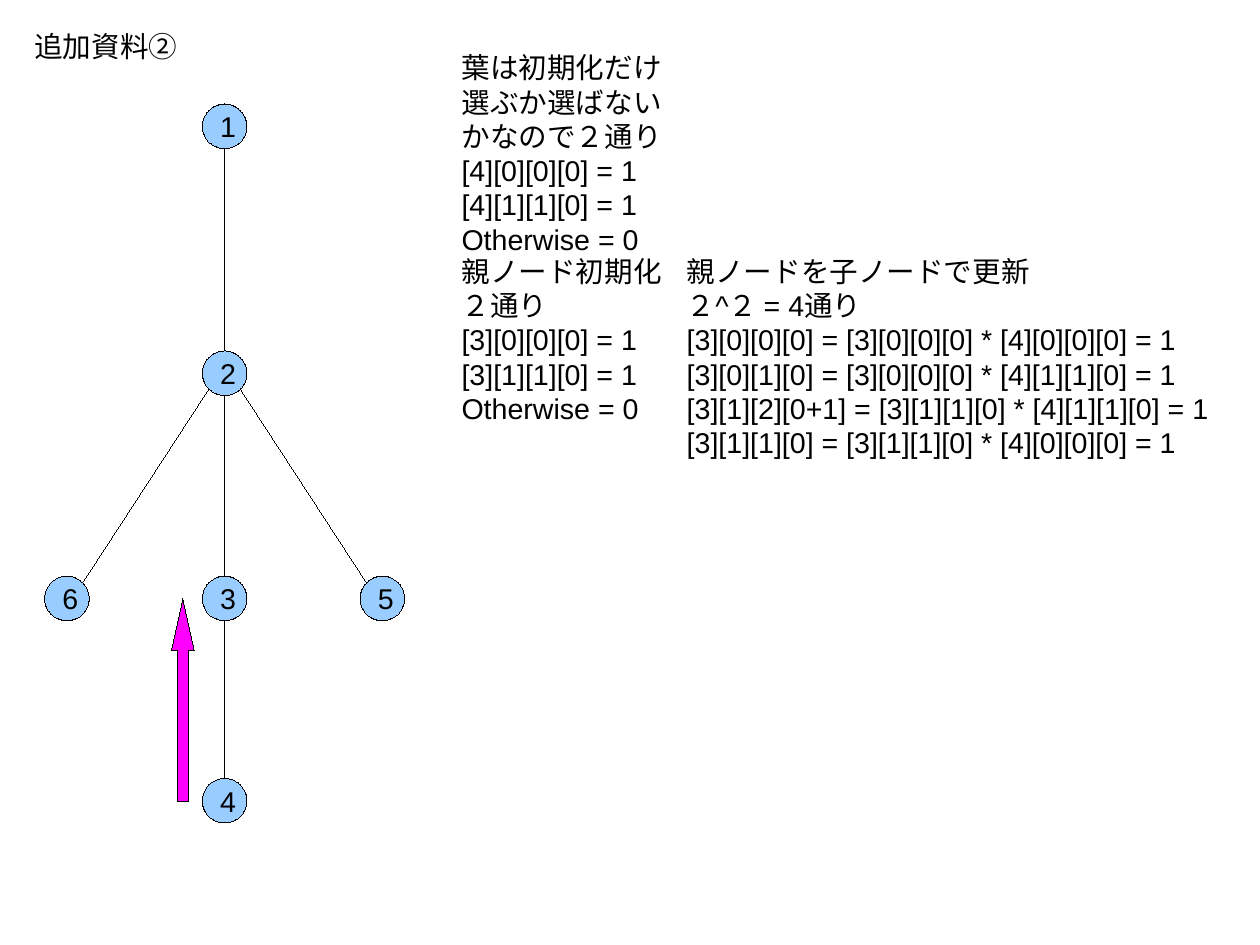
import dataclasses
import math

import lxml.etree
import pptx
import pptx.dml.color
import pptx.enum.shapes
import pptx.enum.text
import pptx.oxml.ns
import pptx.util

Inches = pptx.util.Inches
BLACK = pptx.dml.color.RGBColor(0x00, 0x00, 0x00)
LIGHT_BLUE = pptx.dml.color.RGBColor(0x99, 0xCC, 0xFF)
MAGENTA = pptx.dml.color.RGBColor(0xFF, 0x00, 0xFF)

CENTIMETRES_PER_INCH = 2.54
SLIDE_SIZE = {
    "slide_width": Inches(28 / CENTIMETRES_PER_INCH),
    "slide_height": Inches(21 / CENTIMETRES_PER_INCH),
}
HAIRLINE = pptx.util.Pt(0.01)
FONT_FORMAT = {"name": "Arial", "size": pptx.util.Pt(18), "bold": False}
TEXT_FRAME_FORMAT = {
    "word_wrap": True,
    "auto_size": pptx.enum.text.MSO_AUTO_SIZE.NONE,
    "vertical_anchor": pptx.enum.text.MSO_ANCHOR.TOP,
}
TITLE_PLACE = {
    "left": Inches(0.2),
    "top": Inches(0.2),
    "width": Inches(3.15),
    "height": Inches(0.46),
}
NODE_DIAMETER = 0.39
NODE_RADIUS = NODE_DIAMETER / 2


@dataclasses.dataclass(frozen=True)
class Node:
    label: str
    left: float
    top: float


@dataclasses.dataclass(frozen=True)
class Note:
    left: float
    top: float
    width: float
    height: float
    lines: tuple[str, ...]


NODES = {
    node.label: node
    for node in (
        Node("2", 1.77, 3.07),
        Node("5", 3.15, 5.04),
        Node("3", 1.77, 5.04),
        Node("1", 1.77, 0.91),
        Node("4", 1.77, 6.81),
        Node("6", 0.39, 5.04),
    )
}
EDGES = (("1", "2"), ("2", "6"), ("2", "3"), ("2", "5"), ("3", "4"))

NOTES = (
    Note(3.94, 0.39, 1.97, 2.02, (
        "葉は初期化だけ",
        "選ぶか選ばないかなので２通り",
        "[4][0][0][0] = 1",
        "[4][1][1][0] = 1",
        "Otherwise = 0",
    )),
    Note(3.94, 2.17, 1.97, 1.66, (
        "親ノード初期化",
        "２通り",
        "[3][0][0][0] = 1",
        "[3][1][1][0] = 1",
        "Otherwise = 0",
    )),
    Note(5.91, 2.17, 4.92, 2.22, (
        "親ノードを子ノードで更新",
        "２^２ = 4通り",
        "[3][0][0][0] = [3][0][0][0] * [4][0][0][0] = 1",
        "[3][0][1][0] = [3][0][0][0] * [4][1][1][0] = 1",
        "[3][1][2][0+1] = [3][1][1][0] * [4][1][1][0] = 1",
        "[3][1][1][0] = [3][1][1][0] * [4][0][0][0] = 1",
    )),
)


def apply_format(target, values: dict) -> None:
    for name, value in values.items():
        setattr(target, name, value)


def write_lines(text_frame, lines: tuple[str, ...], alignment) -> None:
    text_frame.text = "\n".join(lines)
    for paragraph in text_frame.paragraphs:
        paragraph.alignment = alignment
        for run in paragraph.runs:
            apply_format(run.font, FONT_FORMAT)
            run.font.color.rgb = BLACK


def outline(line) -> None:
    line.color.rgb = BLACK
    line.width = HAIRLINE


def add_filled_shape(slide, kind, left: float, top: float, width: float, height: float, color):
    shape = slide.shapes.add_shape(
        kind, Inches(left), Inches(top), Inches(width), Inches(height)
    )
    shape.shadow.inherit = False
    shape.fill.solid()
    shape.fill.fore_color.rgb = color
    outline(shape.line)
    return shape


def add_node(slide, node: Node) -> None:
    shape = add_filled_shape(
        slide, pptx.enum.shapes.MSO_SHAPE.OVAL,
        node.left, node.top, NODE_DIAMETER, NODE_DIAMETER, LIGHT_BLUE,
    )
    write_lines(shape.text_frame, (node.label,), pptx.enum.text.PP_ALIGN.CENTER)


def add_edge(slide, parent: Node, child: Node) -> None:
    direction = (child.left > parent.left) - (child.left < parent.left)
    angle = direction * math.pi / 4
    across = NODE_RADIUS * math.sin(angle)
    down = NODE_RADIUS * math.cos(angle)
    connector = slide.shapes.add_connector(
        pptx.enum.shapes.MSO_CONNECTOR.STRAIGHT,
        Inches(parent.left + NODE_RADIUS + across),
        Inches(parent.top + NODE_RADIUS + down),
        Inches(child.left + NODE_RADIUS - across),
        Inches(child.top + NODE_RADIUS - down),
    )
    outline(connector.line)
    properties = connector._element.spPr
    lxml.etree.SubElement(properties, pptx.oxml.ns.qn("a:effectLst"))


def add_note(slide, note: Note) -> None:
    text_box = slide.shapes.add_textbox(
        Inches(note.left), Inches(note.top), Inches(note.width), Inches(note.height)
    )
    apply_format(text_box.text_frame, TEXT_FRAME_FORMAT)
    write_lines(text_box.text_frame, note.lines, pptx.enum.text.PP_ALIGN.LEFT)


def add_update_arrow(slide) -> None:
    arrow = add_filled_shape(
        slide, pptx.enum.shapes.MSO_SHAPE.UP_ARROW, 1.5, 5.24, 0.2, 1.77, MAGENTA
    )
    arrow.adjustments[0] = 0.5
    arrow.adjustments[1] = 2.25


def format_title(slide) -> None:
    title = slide.shapes.title
    apply_format(title, TITLE_PLACE)
    apply_format(title.text_frame, TEXT_FRAME_FORMAT)
    write_lines(title.text_frame, ("追加資料②",), pptx.enum.text.PP_ALIGN.LEFT)


def main() -> None:
    presentation = pptx.Presentation()
    apply_format(presentation, SLIDE_SIZE)
    layout = presentation.slide_layouts.get_by_name("Title Only")
    slide = presentation.slides.add_slide(layout)

    format_title(slide)
    for node in NODES.values():
        add_node(slide, node)
    for parent, child in EDGES:
        add_edge(slide, NODES[parent], NODES[child])
    for note in NOTES:
        add_note(slide, note)
    add_update_arrow(slide)

    presentation.save("out.pptx")


main()
